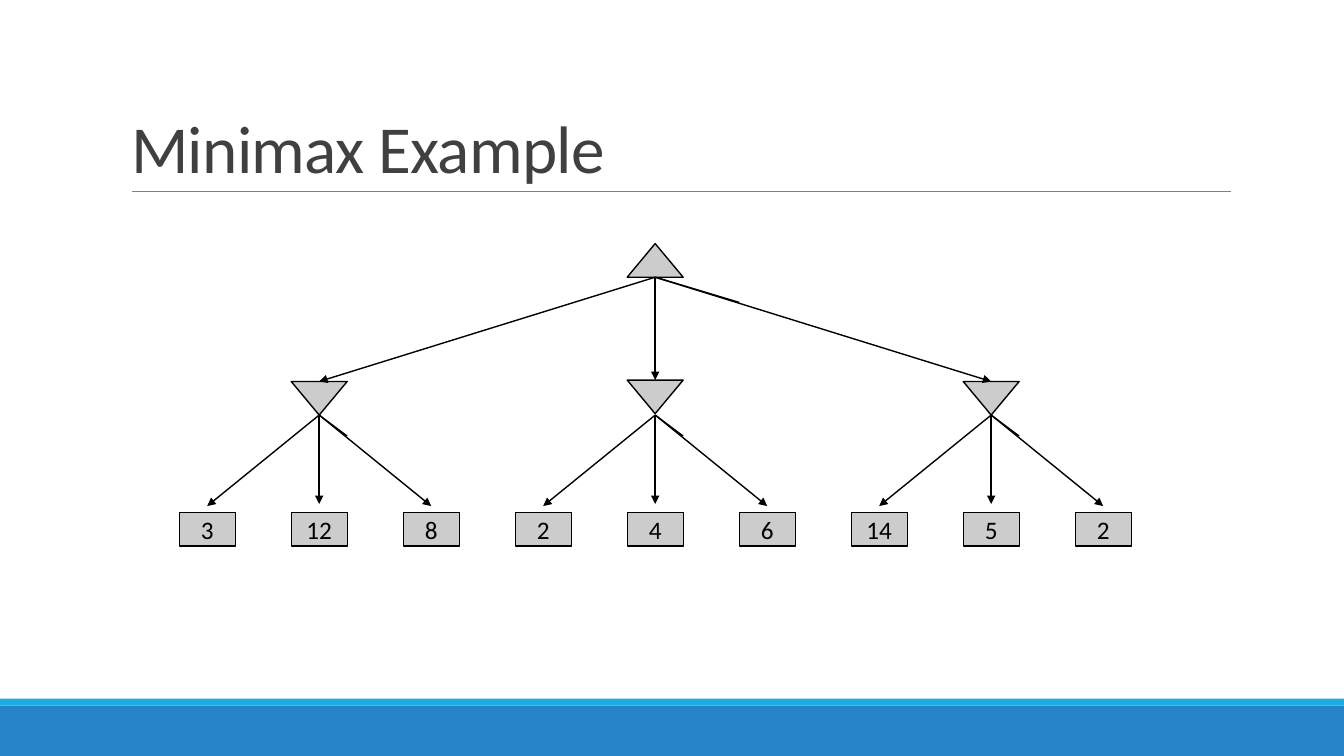
from dataclasses import dataclass

from lxml import etree
from pptx import Presentation
from pptx.dml.color import RGBColor
from pptx.enum.shapes import MSO_CONNECTOR, MSO_SHAPE
from pptx.enum.text import MSO_ANCHOR, MSO_AUTO_SIZE, PP_ALIGN
from pptx.oxml.ns import qn
from pptx.util import Pt

RECT = MSO_SHAPE.RECTANGLE
TRIANGLE = MSO_SHAPE.ISOSCELES_TRIANGLE
STRAIGHT = MSO_CONNECTOR.STRAIGHT
LEFT, CENTER = PP_ALIGN.LEFT, PP_ALIGN.CENTER
MIDDLE, BOTTOM = MSO_ANCHOR.MIDDLE, MSO_ANCHOR.BOTTOM
NO_FIT = MSO_AUTO_SIZE.NONE

PX = 6350
FONT = "Calibri"
COLORS = {
    "band": "2683C6",
    "strip": "1CADE4",
    "rule": "808080",
    "title": "404040",
    "node": "CCCCCC",
    "ink": "000000",
}

NODE_W, NODE_H = 80, 48
LEAF_X, LEAF_STEP, LEAF_Y = 296, 160, 732
ROOT_X, ROOT_Y = 936, 348
MIN_BOTTOM = 593


@dataclass(frozen=True)
class MinNode:
    top: int
    values: tuple[int, ...]


@dataclass(frozen=True)
class Bar:
    top: int
    height: int
    color: str


MIN_NODES = (
    MinNode(545, (3, 12, 8)),
    MinNode(543, (2, 4, 6)),
    MinNode(545, (14, 5, 2)),
)
BARS = (Bar(1008, 72, "band"), Bar(998, 10, "strip"))


def rgb(name: str) -> RGBColor:
    return RGBColor.from_string(COLORS[name])


def set_attrs(obj, values: dict) -> None:
    for name, value in values.items():
        setattr(obj, name, value)


def write(tf, text: str, size: int, color: str, align, frame: dict):
    set_attrs(tf, frame)
    p = tf.paragraphs[0]
    p.alignment = align
    r = p.add_run()
    r.text = text
    set_attrs(r.font, {"name": FONT, "size": Pt(size)})
    r.font.color.rgb = rgb(color)
    return p, r


def add_box(s, kind, x: int, y: int, w: int, h: int, fill: str, line_width: float = 0):
    sp = s.shapes.add_shape(kind, x * PX, y * PX, w * PX, h * PX)
    sp.shadow.inherit = False
    sp.fill.solid()
    sp.fill.fore_color.rgb = rgb(fill)
    if line_width:
        sp.line.color.rgb = rgb("ink")
        sp.line.width = Pt(line_width)
    else:
        sp.line.fill.background()
    return sp


def add_line(s, x1: int, y1: int, x2: int, y2: int, color: str = "ink",
             width: float = 1, arrow: bool = False) -> None:
    cn = s.shapes.add_connector(STRAIGHT, x1 * PX, y1 * PX, x2 * PX, y2 * PX)
    cn.line.color.rgb = rgb(color)
    cn.line.width = Pt(width)
    if arrow:
        ln = cn.line._get_or_add_ln()
        etree.SubElement(ln, qn("a:tailEnd"), type="triangle")
    etree.SubElement(cn._element.spPr, qn("a:effectLst"))


def add_triangle(s, x: int, y: int, flipped: bool = False) -> None:
    sp = add_box(s, TRIANGLE, x - NODE_W // 2, y, NODE_W, NODE_H, "node", 1)
    if flipped:
        sp._element.spPr.find(qn("a:xfrm")).set("flipV", "1")


def add_leaf(s, x: int, value: int) -> None:
    sp = add_box(s, RECT, x - NODE_W // 2, LEAF_Y, NODE_W, NODE_H, "node", 0.75)
    write(sp.text_frame, str(value), 18, "ink", CENTER,
          {"word_wrap": False, "vertical_anchor": MIDDLE})


def add_stubs(s, x: int, y: int, dx: int, dy: int) -> None:
    add_line(s, x, y, x, y + NODE_H)
    add_line(s, x, y, x + dx, y + dy)


def add_title(s) -> None:
    title = s.shapes.title
    set_attrs(title, {"left": 173 * PX, "top": 45 * PX,
                      "width": 1584 * PX, "height": 229 * PX})
    p, r = write(title.text_frame, "Minimax Example", 48, "title", LEFT,
                 {"auto_size": NO_FIT, "word_wrap": True, "vertical_anchor": BOTTOM})
    p.line_spacing = 0.85
    r.font._element.set("spc", "-50")


def add_tree(s) -> None:
    root_bottom = ROOT_Y + NODE_H
    add_triangle(s, ROOT_X, ROOT_Y)
    add_stubs(s, ROOT_X, root_bottom, 120, 36)
    for i, node in enumerate(MIN_NODES):
        first = LEAF_X + i * len(node.values) * LEAF_STEP
        x = first + LEAF_STEP
        add_triangle(s, x, node.top, flipped=True)
        add_line(s, ROOT_X, root_bottom, x, node.top, arrow=True)
        add_stubs(s, x, MIN_BOTTOM, 40, 30)
        for j, value in enumerate(node.values):
            leaf_x = first + j * LEAF_STEP
            tip = 720 if leaf_x == x else 723
            add_line(s, x, MIN_BOTTOM, leaf_x, tip, arrow=True)
            add_leaf(s, leaf_x, value)


def main() -> None:
    prs = Presentation()
    set_attrs(prs, {"slide_width": 1920 * PX, "slide_height": 1080 * PX})
    s = prs.slides.add_slide(prs.slide_layouts[5])
    for bar in BARS:
        add_box(s, RECT, 0, bar.top, 1920, bar.height, bar.color)
    add_line(s, 189, 274, 1758, 274, "rule", 0.5)
    add_title(s)
    add_tree(s)
    prs.save("out.pptx")


if __name__ == "__main__":
    main()
